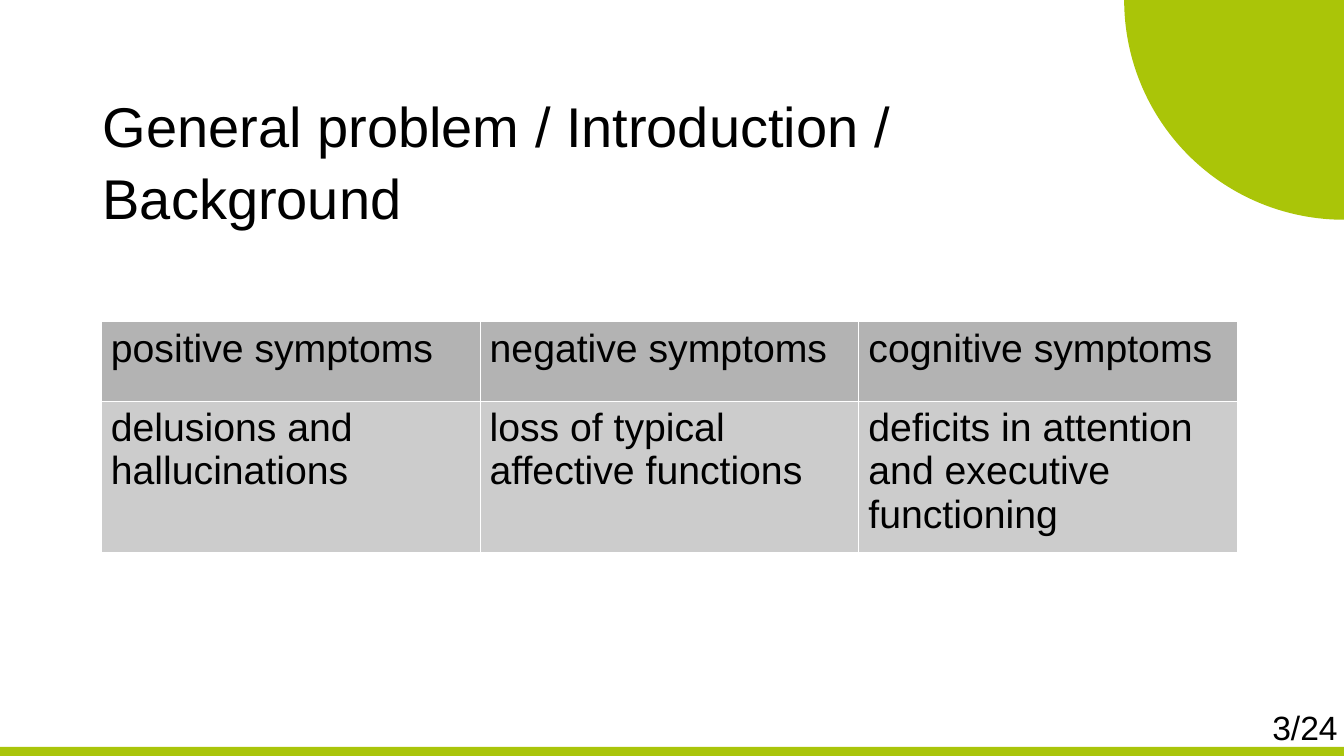
import pptx
import pptx.util
import pptx.dml.color
import pptx.enum.shapes
import pptx.enum.text
import pptx.oxml.ns
from lxml import etree

Inches, Pt = pptx.util.Inches, pptx.util.Pt
SHAPES = pptx.enum.shapes.MSO_SHAPE
ANCHORS = pptx.enum.text.MSO_ANCHOR

TITLE = ["General problem / Introduction /", "Background"]
PAGE_NUMBER = "3/24"
SYMPTOMS = [
    ["positive symptoms", "negative symptoms", "cognitive symptoms"],
    ["delusions and hallucinations", "loss of typical affective functions",
     "deﬁcits in attention and executive functioning"],
]
ROW_FILLS = ["B3B3B3", "CCCCCC"]
BAR_GREEN, CORNER_GREEN = "AAC50B", "AAC508"
BLACK, WHITE = "000000", "FFFFFF"
SLIDE_W, SLIDE_H = 13.33, 7.5
BAR_H = 0.09
CORNER_RADIUS = 2.18
TABLE_LEFT, TABLE_TOP, COLUMN_W, ROW_H = 1, 3.19, 3.757, 0.785


def paint(fill, color):
    fill.solid()
    fill.fore_color.rgb = pptx.dml.color.RGBColor.from_string(color)


def write(frame, lines, size, color=BLACK, font="Arial", space_before=0):
    for index, line in enumerate(lines):
        paragraph = frame.paragraphs[0] if index == 0 else frame.add_paragraph()
        paragraph.space_before = Pt(space_before if index else 0)
        run = paragraph.add_run()
        run.text = line
        run.font.size = Pt(size)
        run.font.name = font
        paint(run.font.fill, color)


def add_green(slide, kind, left, top, width, height, color):
    shape = slide.shapes.add_shape(
        kind, Inches(left), Inches(top), Inches(width), Inches(height))
    shape.shadow.inherit = False
    shape.line.fill.background()
    paint(shape.fill, color)
    return shape


def add_text(slide, left, top, width, height, lines, size,
             wrap=True, anchor=ANCHORS.TOP, **text_format):
    frame = slide.shapes.add_textbox(
        Inches(left), Inches(top), Inches(width), Inches(height)).text_frame
    frame.word_wrap = wrap
    frame.vertical_anchor = anchor
    write(frame, lines, size, **text_format)


def set_borders(cell, color, width):
    properties = cell._tc.get_or_add_tcPr()
    qn = pptx.oxml.ns.qn
    for position, side in enumerate(("a:lnL", "a:lnR", "a:lnT", "a:lnB")):
        line = etree.Element(qn(side), w=str(int(Pt(width))))
        solid = etree.SubElement(line, qn("a:solidFill"))
        etree.SubElement(solid, qn("a:srgbClr"), val=color)
        properties.insert(position, line)


def add_symptom_table(slide):
    rows, columns = len(SYMPTOMS), len(SYMPTOMS[0])
    table = slide.shapes.add_table(
        rows, columns, Inches(TABLE_LEFT), Inches(TABLE_TOP),
        Inches(columns * COLUMN_W), Inches(rows * ROW_H)).table
    for column in table.columns:
        column.width = Inches(COLUMN_W)
    for row, texts, fill in zip(table.rows, SYMPTOMS, ROW_FILLS):
        row.height = Inches(ROW_H)
        for cell, text in zip(row.cells, texts):
            paint(cell.fill, fill)
            set_borders(cell, WHITE, 0.06)
            write(cell.text_frame, [text], 28)
    table.first_row = False
    table.horz_banding = False


def main():
    deck = pptx.Presentation()
    deck.slide_width, deck.slide_height = Inches(SLIDE_W), Inches(SLIDE_H)
    slide = deck.slides.add_slide(deck.slide_layouts[6])
    paint(slide.background.fill, WHITE)

    add_green(slide, SHAPES.RECTANGLE, 0, SLIDE_H - BAR_H, SLIDE_W, BAR_H, BAR_GREEN)
    corner = add_green(slide, SHAPES.PIE, SLIDE_W - CORNER_RADIUS, -CORNER_RADIUS,
                       2 * CORNER_RADIUS, 2 * CORNER_RADIUS, CORNER_GREEN)
    # Quarter circle from 90 to 180 degrees, at 0.6 units per degree
    corner.adjustments[0], corner.adjustments[1] = 90 * 0.6, 180 * 0.6

    add_text(slide, 0.92, 0.85, 11.56, 1.5, TITLE, 40,
             anchor=ANCHORS.MIDDLE, space_before=3.2)
    add_symptom_table(slide)
    add_text(slide, 12.52, 6.96, 0.85, 0.47, [PAGE_NUMBER], 24, wrap=False)
    deck.save("out.pptx")


if __name__ == "__main__":
    main()
